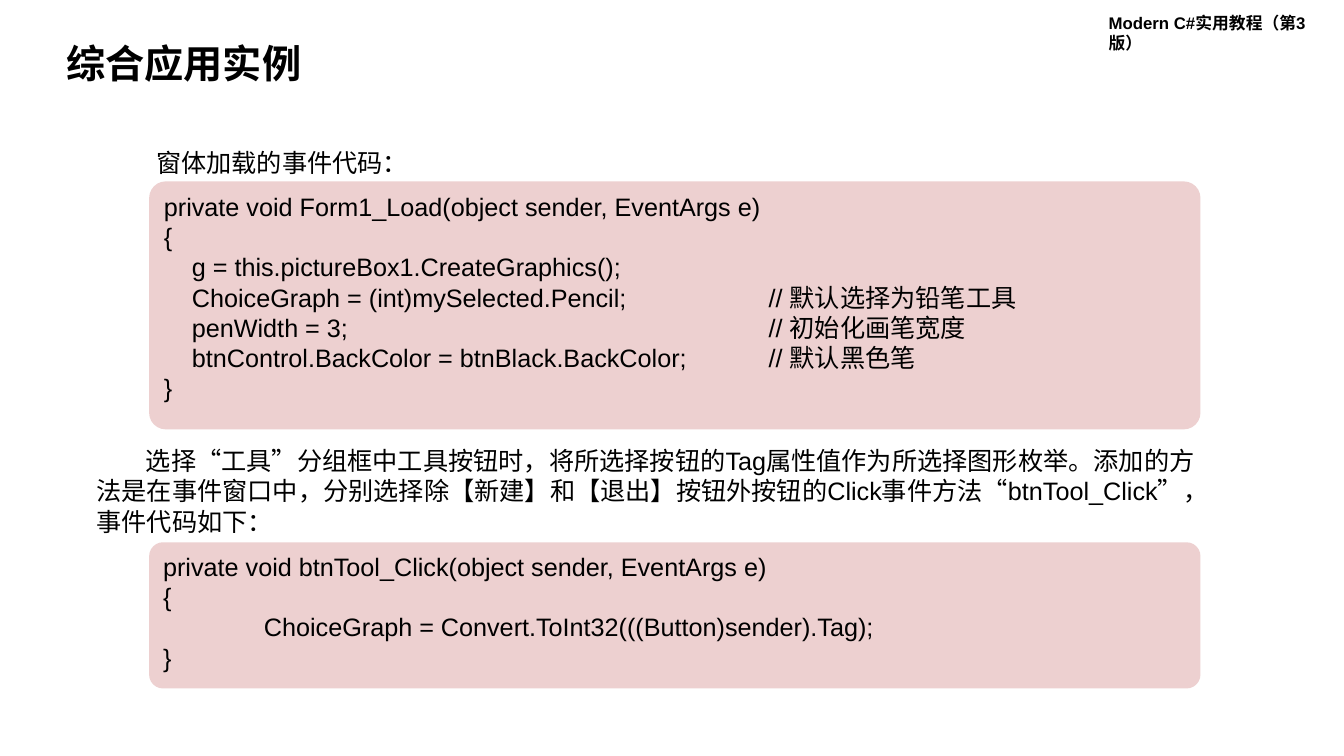
from lxml import etree
from pptx import Presentation
from pptx.dml.color import RGBColor
from pptx.enum.shapes import MSO_SHAPE
from pptx.enum.text import MSO_ANCHOR, PP_ALIGN
from pptx.oxml.ns import qn
from pptx.util import Pt

ROUNDED = MSO_SHAPE.ROUNDED_RECTANGLE
TOP, MIDDLE = MSO_ANCHOR.TOP, MSO_ANCHOR.MIDDLE
LEFT = PP_ALIGN.LEFT

FONT = "Arial"
COLORS = {"text": "000000", "code_box": "EDD0D0"}
BOX_LEFT, BOX_WIDTH = 106.56, 750.96
CODE_TABS = (72, 432)  # code indent, comment column

LOAD_CODE = """private void Form1_Load(object sender, EventArgs e)
{
    g = this.pictureBox1.CreateGraphics();
    ChoiceGraph = (int)mySelected.Pencil;\t// 默认选择为铅笔工具
    penWidth = 3;\t// 初始化画笔宽度
    btnControl.BackColor = btnBlack.BackColor;\t// 默认黑色笔
}"""

CLICK_CODE = """private void btnTool_Click(object sender, EventArgs e)
{
\tChoiceGraph = Convert.ToInt32(((Button)sender).Tag);
}"""

CLICK_INTRO = (
    "选择“工具”分组框中工具按钮时，将所选择按钮的Tag属性值作为所选择图形枚举。"
    "添加的方法是在事件窗口中，分别选择除【新建】和【退出】按钮外按钮的Click事件方法"
    "“btnTool_Click”，事件代码如下："
)


def style_runs(p, size, bold=False):
    for r in p.runs:
        r.font.name = FONT
        r.font.size = Pt(size)
        r.font.bold = bold
        r.font.color.rgb = RGBColor.from_string(COLORS["text"])


def add_text(s, text, left, top, width, height, size=18, bold=False,
             anchor=TOP, wrap=True, indent=0, line_spacing=1.0):
    tf = s.shapes.add_textbox(Pt(left), Pt(top), Pt(width), Pt(height)).text_frame
    tf.word_wrap = wrap
    tf.vertical_anchor = anchor
    tf.text = text
    p = tf.paragraphs[0]
    p.line_spacing = line_spacing
    if indent:
        p._p.get_or_add_pPr().set("indent", str(Pt(indent)))
    style_runs(p, size, bold)


def add_tab_stops(p, stops):
    tabs = etree.SubElement(p._p.get_or_add_pPr(), qn("a:tabLst"))
    for stop in stops:
        etree.SubElement(tabs, qn("a:tab"), pos=str(Pt(stop)), algn="l")


def add_code_box(s, code, top, height, radius):
    sp = s.shapes.add_shape(ROUNDED, Pt(BOX_LEFT), Pt(top), Pt(BOX_WIDTH), Pt(height))
    sp.adjustments[0] = radius / height
    sp.shadow.inherit = False
    sp.fill.solid()
    sp.fill.fore_color.rgb = RGBColor.from_string(COLORS["code_box"])
    sp.line.fill.background()
    tf = sp.text_frame
    tf.word_wrap = True
    tf.vertical_anchor = TOP
    tf.text = code
    for p in tf.paragraphs:
        p.alignment = LEFT
        add_tab_stops(p, CODE_TABS)
        style_runs(p, 18)


def main():
    prs = Presentation()
    prs.slide_width, prs.slide_height = Pt(960), Pt(540)
    s = prs.slides.add_slide(prs.slide_layouts[6])

    # Book name and slide title
    add_text(s, "Modern C#实用教程（第3版）", 784.8, 5.76, 175.2, 21.6, size=12, bold=True)
    add_text(s, "综合应用实例", 40.32, 28.08, 434.88, 37.44, size=28, bold=True,
             anchor=MIDDLE, line_spacing=0.9)

    # Form load event
    add_text(s, "窗体加载的事件代码：", 104.4, 101.52, 196.56, 28.8, wrap=False)
    add_code_box(s, LOAD_CODE, 129.6, 177.12, radius=11.87)

    # Tool button click event
    add_text(s, CLICK_INTRO, 61.92, 314.64, 815.76, 72.72, indent=35.28)
    add_code_box(s, CLICK_CODE, 387.36, 104.4, radius=9.92)

    prs.save("out.pptx")


if __name__ == "__main__":
    main()
